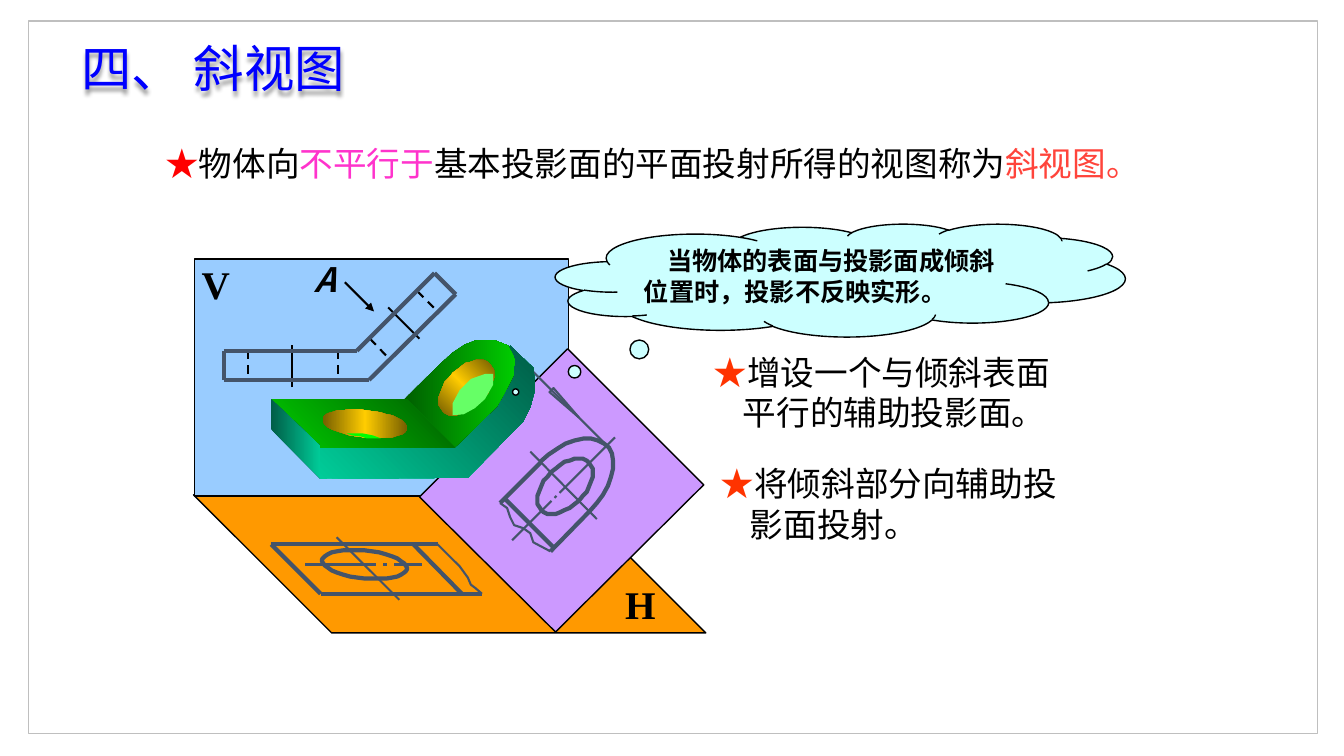
from itertools import pairwise
from math import cos, pi, sin

from pptx import Presentation
from pptx.dml.color import RGBColor as Rgb
from pptx.enum.dml import MSO_LINE as Dash
from pptx.enum.shapes import MSO_CONNECTOR as Link, MSO_SHAPE as Kind
from pptx.enum.text import MSO_ANCHOR as Anchor, MSO_AUTO_SIZE as Fit, PP_ALIGN as Align
from pptx.oxml import parse_xml
from pptx.oxml.ns import nsdecls, qn
from pptx.util import Inches, Pt

CELL = Inches(0.01)
COLS, ROWS = 1333, 750
SANS, SERIF = "Noto Sans CJK SC", "Times New Roman"
BLACK, SLATE, STAR = "000000", "44546A", "FF3300"
GREEN, DARK, TEAL, DEEP = "00CC00", "005E00", "00CC99", "005E47"
GOLD = ("765E00", "FFCC00", "765E00")


def grid(*cells):
    return [round(cell * CELL) for cell in cells]


def tint(code):
    return Rgb.from_string(code)


def stroke(line, color, width):
    line.color.rgb = tint(color)
    line.width = Pt(width)


def blend(shape, colors, angle):
    last = len(colors) - 1
    stops = "".join(
        f'<a:gs pos="{100000 * n // last}"><a:srgbClr val="{color}"/></a:gs>'
        for n, color in enumerate(colors))
    shape._element.spPr.insert(2, parse_xml(
        f'<a:gradFill {nsdecls("a")} rotWithShape="1"><a:gsLst>{stops}</a:gsLst>'
        f'<a:lin ang="{angle * 60000}" scaled="1"/></a:gradFill>'))


def dress(shape, fill=None, line=None, width=1):
    shape.shadow.inherit = False
    if fill:
        shape.fill.solid()
        shape.fill.fore_color.rgb = tint(fill)
    else:
        shape.fill.background()
    if line:
        stroke(shape.line, line, width)
    else:
        shape.line.fill.background()


def block(slide, kind, at, fill=None, line=BLACK):
    shape = slide.shapes.add_shape(kind, *grid(*at))
    dress(shape, fill, line)
    return shape


def outline(slide, points, fill=None, line=None, width=1, close=True, angle=0):
    pen = slide.shapes.build_freeform(*points[0], scale=CELL)
    pen.add_line_segments(points[1:], close=close)
    shape = pen.convert_to_shape()
    if isinstance(fill, tuple):
        shape.shadow.inherit = False
        blend(shape, fill, angle)
        shape.line.fill.background()
    else:
        dress(shape, fill, line, width)


def ring(center, wide, skew, tall):
    x, y = center
    turns = [2 * pi * n / 36 for n in range(36)]
    return [(round(x + wide * cos(t), 2), round(y + skew * cos(t) + tall * sin(t), 2))
            for t in turns]


def stick(slide, start, end, color=SLATE, width=1.5, dash=False, arrow=False):
    link = slide.shapes.add_connector(Link.STRAIGHT, *grid(*start, *end))
    stroke(link.line, color, width)
    if dash:
        link.line.dash_style = Dash.DASH
    frame = link._element.spPr
    if arrow:
        frame.find(qn("a:ln")).append(
            parse_xml(f'<a:tailEnd {nsdecls("a")} type="triangle"/>'))
    frame.append(parse_xml(f'<a:effectLst {nsdecls("a")}/>'))


def sticks(slide, pairs, **look):
    for x1, y1, x2, y2 in pairs:
        stick(slide, (x1, y1), (x2, y2), **look)


def chain(slide, points, **look):
    for start, end in pairwise(points):
        stick(slide, start, end, **look)


def write(frame, parts, size, bold=False, slant=False, align=Align.LEFT, left=0, first=0):
    para = frame.paragraphs[0]
    para.alignment = align
    props = para._p.get_or_add_pPr()
    props.set("marL", str(left * CELL))
    props.set("indent", str(first * CELL))
    for text, color, font in parts:
        run = para.add_run()
        run.text = text
        run.font.size = Pt(size)
        run.font.bold = bold or (font == SERIF)
        run.font.italic = slant
        run.font.color.rgb = tint(color)
        run.font.name = font
        run.font._element.find(qn("a:latin")).addnext(
            parse_xml(f'<a:ea {nsdecls("a")} typeface="{font}"/>'))


def label(slide, at, parts, size, wrap=False, anchor=Anchor.TOP, **look):
    box = slide.shapes.add_textbox(*grid(*at))
    frame = box.text_frame
    frame.word_wrap = wrap
    frame.auto_size = Fit.SHAPE_TO_FIT_TEXT
    frame.vertical_anchor = anchor
    write(frame, parts, size, **look)
    return box


def mark(slide, at, text, size=28, font=SERIF, **look):
    label(slide, at, [(text, BLACK, font)], size, anchor=Anchor.MIDDLE,
          bold=True, align=Align.CENTER, **look)


def title(slide):
    box = label(slide, (71, 32, 288, 71), [("四、 斜视图", "0000FF", SANS)], 36)
    box._element.spPr.append(parse_xml(
        f'<a:effectLst {nsdecls("a")}><a:outerShdw blurRad="38100" dist="38100" '
        'dir="5400000"><a:srgbClr val="000000"><a:alpha val="40000"/></a:srgbClr>'
        '</a:outerShdw></a:effectLst>'))


def notes(slide):
    for at, text, anchor in [
            ((698, 344, 375, 91), "增设一个与倾斜表面平行的辅助投影面。", Anchor.TOP),
            ((705, 454, 367, 91), "将倾斜部分向辅助投影面投射。", Anchor.MIDDLE)]:
        label(slide, at, [("★", STAR, SANS), (text, BLACK, SANS)], 24,
              wrap=True, anchor=anchor, left=29, first=-29)


def planes(slide):
    outline(slide, [(192, 491), (329, 628), (700, 628), (563, 491)], "FF9900", BLACK)
    block(slide, Kind.RECTANGLE, (193, 257, 371, 235), "99CCFF")
    mark(slide, (190, 253, 48, 57), "V")
    mark(slide, (610, 571, 50, 57), "H")


def top_view(slide):
    sticks(slide, [(269, 540, 318, 589), (269, 540, 434, 540),
                   (318, 589, 478, 589), (410, 540, 458, 589)], width=3)
    sticks(slide, [(334, 533, 396, 595), (303, 560, 373, 560),
                   (380, 560, 384, 560), (391, 560, 419, 560)])
    outline(slide, ring((361.5, 560), 42.5, 4, 13.7), line=SLATE, width=3)
    outline(slide, [(434, 540), (448, 554), (456, 562), (464, 573), (467, 580),
                    (471, 583), (478, 589)], line=SLATE, width=1.5, close=False)


def front_view(slide):
    sticks(slide, [(414, 289, 434, 309), (367, 336, 387, 357),
                   (335, 348, 335, 377), (246, 348, 246, 378)], color=BLACK, dash=True)
    sticks(slide, [(385, 305, 416, 336), (290, 384, 290, 342)], color=BLACK)
    chain(slide, [(222, 348), (354, 348), (431, 271), (452, 292), (366, 377),
                  (222, 377), (222, 348)], width=3)


def slant_view(slide):
    outline(slide, [(416, 493), (563, 346), (698, 481), (551, 627)], "CC99FF", BLACK)
    sticks(slide, [(509, 349, 602, 442), (526, 448, 592, 515), (508, 536, 547, 497),
                   (550, 494, 552, 492), (555, 489, 610, 434)])
    outline(slide, [(574, 414), (549, 385), (545, 389)], line=SLATE, width=1.5)
    outline(slide, [(585, 507), (592, 499), (598, 491), (603, 482), (606, 473),
                    (608, 465), (608, 457), (607, 450), (604, 444), (599, 440),
                    (593, 437), (586, 435), (579, 435), (570, 437), (561, 440),
                    (553, 445), (544, 451), (536, 458)], line=SLATE, width=3, close=False)
    sticks(slide, [(496, 499, 536, 459), (546, 547, 585, 507), (500, 494, 549, 543)],
           width=3)
    outline(slide, ring((560.5, 482.5), 27.5, -13.5, 24), line=SLATE, width=3)
    outline(slide, [(496, 499), (503, 504), (506, 513), (510, 521), (519, 524),
                    (526, 529), (529, 538), (546, 547)], line=SLATE, width=1.5, close=False)


def solid(slide):
    outline(slide, [(317, 442), (317, 475), (464, 474), (519, 418), (526, 404),
                    (530, 389), (530, 375), (529, 365), (506, 343), (501, 355),
                    (510, 365), (507, 375), (500, 386), (494, 398), (450, 443)],
            (TEAL, DEEP), angle=315)
    outline(slide, [(401, 396), (438, 360), (449, 350), (461, 342), (474, 337),
                    (489, 337), (504, 343), (511, 357), (510, 371), (504, 383),
                    (497, 396), (493, 403), (451, 444)], (DARK, GREEN))
    outline(slide, [(269, 396), (403, 396), (451, 444), (317, 444)],
            (GREEN, DARK), angle=315)
    outline(slide, ring((362, 420.5), 42.5, 4, 13.8), GOLD)
    outline(slide, ring((462.5, 384.5), 27.5, -13.5, 24), GOLD, angle=315)
    outline(slide, [(344, 430), (360, 430), (370, 432), (378, 435), (364, 435),
                    (358, 433), (349, 432)], "00FF00")
    outline(slide, [(489, 371), (481, 371), (467, 376), (456, 387), (449, 400),
                    (449, 412), (460, 411), (471, 405), (481, 396), (489, 382)], "66FF66")
    outline(slide, [(269, 396), (318, 443), (318, 475), (269, 426)], (DEEP, TEAL))


def cloud(slide):
    shape = block(slide, Kind.CLOUD_CALLOUT, (551, 222, 565, 112), "CCFFFF")
    shape.adjustments[0], shape.adjustments[1] = -0.57, 0.99
    frame = shape.text_frame
    frame.word_wrap = True
    frame.vertical_anchor = Anchor.TOP
    write(frame, [("当物体的表面与投影面成倾斜位置时，投影不反映实形。", BLACK, SANS)],
          18, bold=True, first=23)


def main():
    deck = Presentation()
    deck.slide_width, deck.slide_height = grid(COLS, ROWS)
    slide = deck.slides.add_slide(deck.slide_layouts[6])
    block(slide, Kind.RECTANGLE, (28, 21, 1279, 707), line="BFBFBF")
    title(slide)
    notes(slide)
    planes(slide)
    top_view(slide)
    front_view(slide)
    slant_view(slide)
    stick(slide, (342, 280), (371, 309), color=BLACK, arrow=True)
    mark(slide, (302, 252, 37, 50), "A", 24, SANS, slant=True)
    solid(slide)
    cloud(slide)
    label(slide, (154, 137, 1023, 50), [
        ("★", "FF0000", SERIF), ("物体向", BLACK, SANS), ("不平行于", "FF33CC", SANS),
        ("基本投影面的平面投射所得的视图称为", BLACK, SANS), ("斜视图。", "FF443B", SANS)],
        24, wrap=True, align=Align.JUSTIFY, left=49, first=-49)
    deck.save("out.pptx")


if __name__ == "__main__":
    main()
